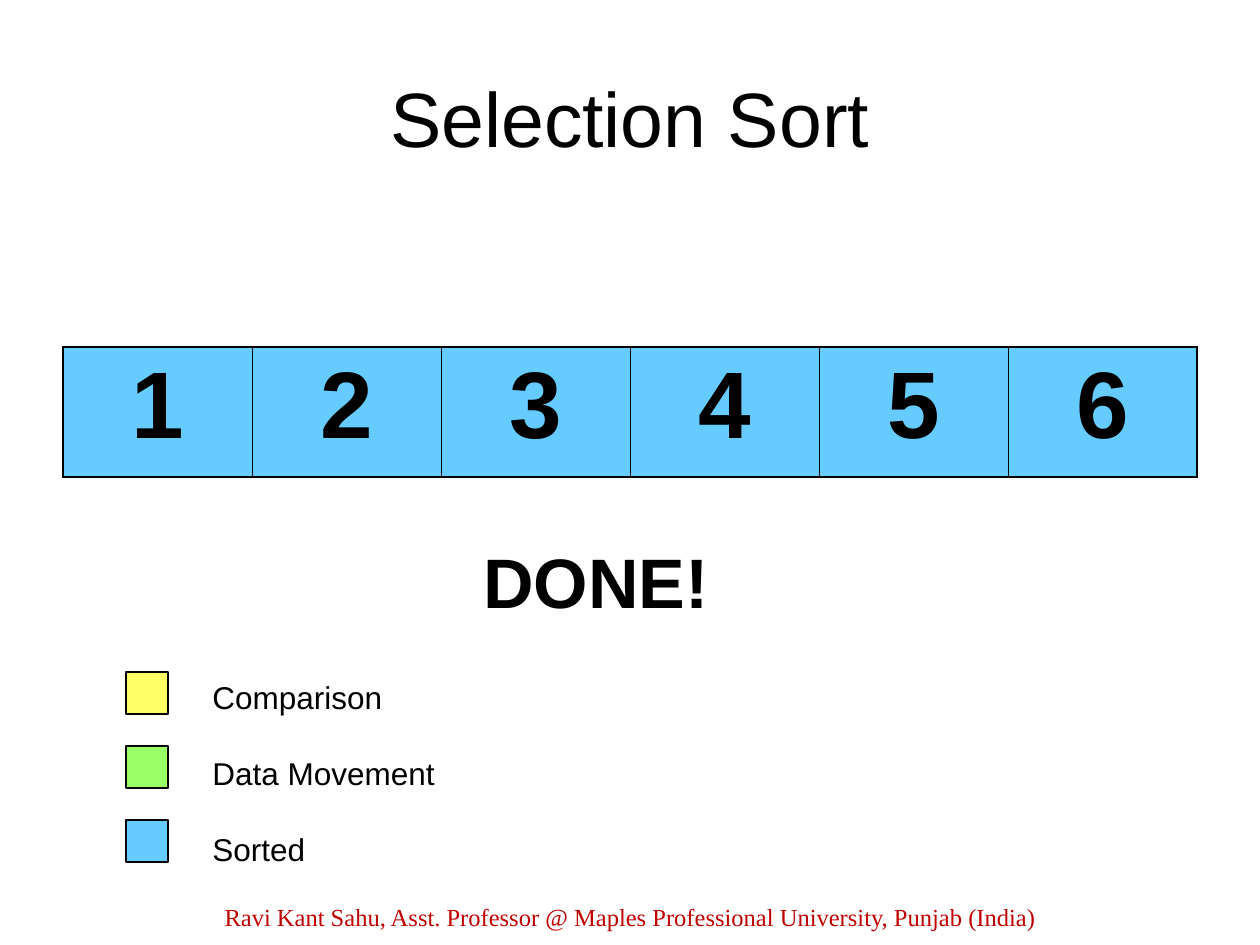
from lxml.etree import SubElement
from pptx import Presentation
from pptx.dml.color import RGBColor
from pptx.enum.shapes import MSO_SHAPE
from pptx.enum.text import MSO_ANCHOR, PP_ALIGN
from pptx.oxml.ns import qn
from pptx.util import Emu, Pt

COLORS = {
    "text": "000000",
    "line": "000000",
    "comparison": "FFFF66",
    "movement": "99FF66",
    "sorted": "66CCFF",
    "footer": "C00000",
}
LEGEND = {"Comparison": "comparison", "Data Movement": "movement", "Sorted": "sorted"}
OUTER_LINE, INNER_LINE = Pt(1.08), Pt(0.45)


def px(length):
    return Emu(round(length * 914400 / 126))


def color(name):
    return RGBColor.from_string(COLORS[name])


class SlideBuilder:
    def __init__(self, presentation):
        self.slide = presentation.slides.add_slide(presentation.slide_layouts[5])

    def format_text(self, text_frame, size, font="Arial", ink="text", bold=False,
                    align=PP_ALIGN.LEFT):
        for paragraph in text_frame.paragraphs:
            paragraph.alignment = align
            for run in paragraph.runs:
                run.font.name = font
                run.font.size = Pt(size)
                run.font.bold = bold
                run.font.color.rgb = color(ink)

    def title(self, text, left, top, width, height):
        shape = self.slide.shapes.title
        shape.left, shape.top = px(left), px(top)
        shape.width, shape.height = px(width), px(height)
        shape.text_frame.text = text
        shape.text_frame.vertical_anchor = MSO_ANCHOR.MIDDLE
        self.format_text(shape.text_frame, 44, align=PP_ALIGN.CENTER)

    def text(self, text, left, top, width, height, size, **style):
        shape = self.slide.shapes.add_textbox(px(left), px(top), px(width), px(height))
        text_frame = shape.text_frame
        text_frame.word_wrap = True
        text_frame.text = text
        self.format_text(text_frame, size, **style)
        return text_frame

    def swatch(self, fill, left, top, size):
        shape = self.slide.shapes.add_shape(
            MSO_SHAPE.RECTANGLE, px(left), px(top), px(size), px(size))
        shape.shadow.inherit = False
        shape.fill.solid()
        shape.fill.fore_color.rgb = color(fill)
        shape.line.color.rgb = color("line")
        shape.line.width = Pt(0.75)

    def array(self, values, left, top, width, height):
        """Draw the values as one table row of sorted cells."""
        table = self.slide.shapes.add_table(
            1, len(values), px(left), px(top), px(width), px(height)).table
        table.first_row = table.horz_banding = False
        last = len(values) - 1
        for index, value in enumerate(values):
            table.columns[index].width = px(width // len(values))
            cell = table.cell(0, index)
            cell.text_frame.text = str(value)
            cell.text_frame.paragraphs[0].space_before = Pt(13.5)
            self.format_text(cell.text_frame, 54, bold=True, align=PP_ALIGN.CENTER)
            self.cell_borders(cell, {
                "a:lnL": OUTER_LINE if index == 0 else INNER_LINE,
                "a:lnR": OUTER_LINE if index == last else INNER_LINE,
                "a:lnT": OUTER_LINE,
                "a:lnB": OUTER_LINE,
            })
            cell.fill.solid()
            cell.fill.fore_color.rgb = color("sorted")

    def cell_borders(self, cell, widths):
        properties = cell._tc.get_or_add_tcPr()
        for tag, width in widths.items():
            border = SubElement(properties, qn(tag), w=str(int(width)))
            fill = SubElement(border, qn("a:solidFill"))
            SubElement(fill, qn("a:srgbClr"), val=COLORS["line"])


def main():
    presentation = Presentation()
    presentation.slide_width, presentation.slide_height = px(1260), px(945)
    builder = SlideBuilder(presentation)

    builder.title("Selection Sort", 63, 38, 1134, 158)
    builder.array(range(1, 7), 63, 347, 1134, 130)

    for index, fill in enumerate(LEGEND.values()):
        builder.swatch(fill, 126, 672 + index * 74, 42)
    legend = builder.text("\n".join(LEGEND), 200, 672, 260, 202, 18)
    for paragraph in legend.paragraphs[1:]:
        paragraph.space_before = Pt(21.7)

    builder.text("DONE!", 471, 532, 260, 97, 40, bold=True)
    builder.text(
        "Ravi Kant Sahu, Asst. Professor @ Maples Professional University, Punjab (India)",
        168, 896, 925, 66, 14, font="Times New Roman", ink="footer",
        align=PP_ALIGN.CENTER)

    presentation.save("out.pptx")


if __name__ == "__main__":
    main()
